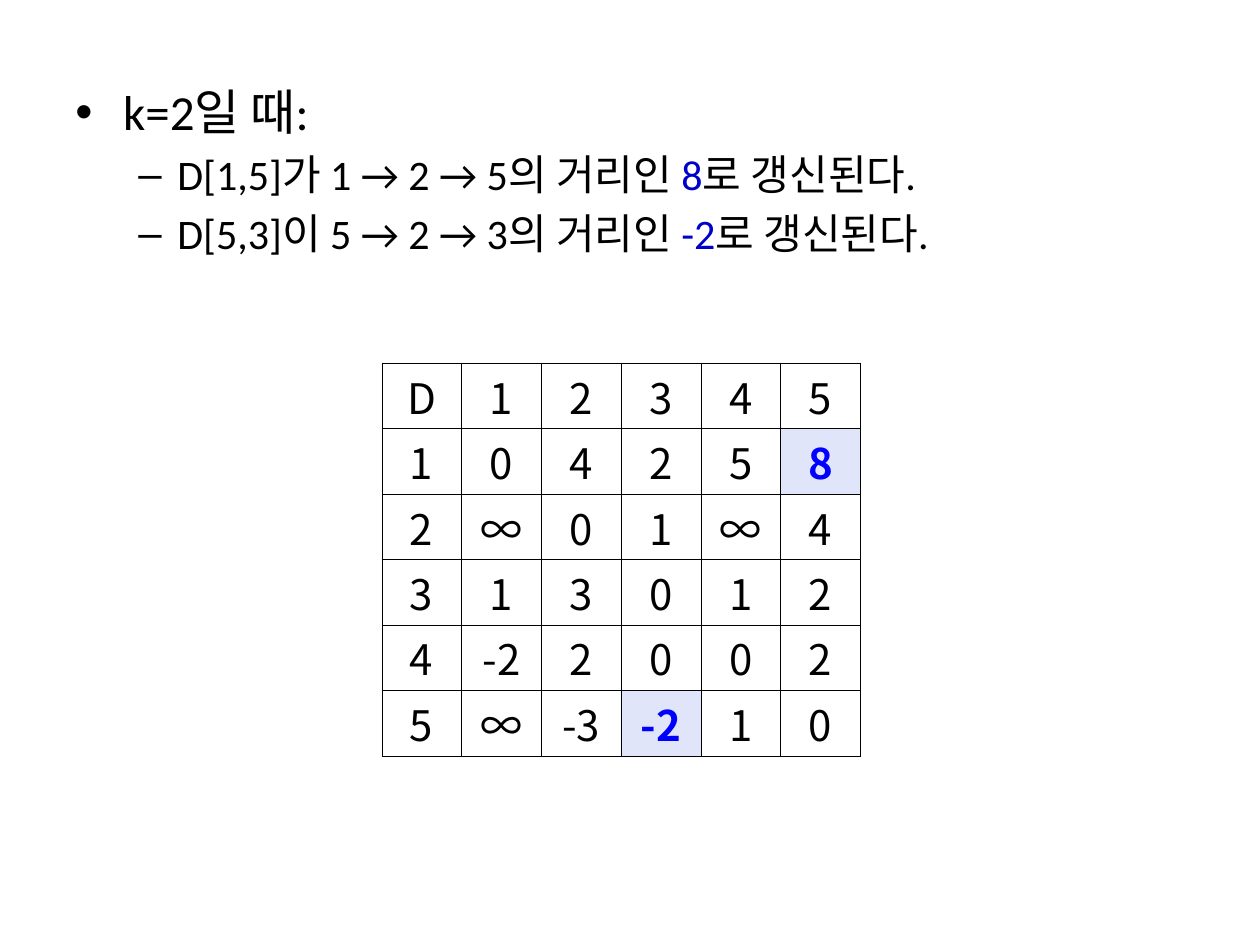
from pptx import Presentation
from pptx.dml.color import RGBColor
from pptx.enum.text import MSO_ANCHOR, PP_ALIGN
from pptx.oxml import parse_xml
from pptx.oxml.ns import nsdecls
from pptx.util import Inches, Pt

MIDDLE, CENTER = MSO_ANCHOR.MIDDLE, PP_ALIGN.CENTER
BLACK, BLUE, BRIGHT, PALE = "000000", "0000CC", "0000FF", "E0E5FA"

# Content: level, then runs of (text, colour)
NOTES = [
    (0, [("k=2일 때:", BLACK)]),
    (1, [("D[1,5]가 1 → 2 → 5의 거리인 ", BLACK), ("8", BLUE),
         ("로 갱신된다.", BLACK)]),
    (1, [("D[5,3]이 5 → 2 → 3의 거리인 ", BLACK), ("-2", BLUE),
         ("로 갱신된다.", BLACK)]),
]
# Bullet, size, left margin and hanging indent per level
LEVELS = [("•", 28, 0.38, 0.38), ("–", 24, 0.81, 0.31)]
COSTS = [
    ["D", "1", "2", "3", "4", "5"],
    ["1", "0", "4", "2", "5", "8"],
    ["2", "∞", "0", "1", "∞", "4"],
    ["3", "1", "3", "0", "1", "2"],
    ["4", "-2", "2", "0", "0", "2"],
    ["5", "∞", "-3", "-2", "1", "0"],
]
CHANGED = {(1, 5), (5, 3)}
CELL_W, CELL_H = 3.8 / 6, 0.52


def color(code):
    return RGBColor.from_string(code)


def bullet(para, mark, left, hang):
    props = para._p.get_or_add_pPr()
    props.set("marL", str(Inches(left)))
    props.set("indent", str(-Inches(hang)))
    props.append(parse_xml(f'<a:buFont {nsdecls("a")} typeface="Arial"/>'))
    props.append(parse_xml(f'<a:buChar {nsdecls("a")} char="{mark}"/>'))


def border(cell):
    props = cell._tc.get_or_add_tcPr()
    for side in "LRTB":
        props.append(parse_xml(
            f'<a:ln{side} {nsdecls("a")} w="{Pt(0.28)}"><a:solidFill>'
            f'<a:srgbClr val="{BLACK}"/></a:solidFill></a:ln{side}>'))


deck = Presentation()
deck.slide_width, deck.slide_height = Inches(10), Inches(7.5)
slide = deck.slides.add_slide(deck.slide_layouts[6])

# Notes
box = slide.shapes.add_textbox(Inches(0.5), Inches(0.6), Inches(9), Inches(6.1))
frame = box.text_frame
frame.word_wrap = True
for i, (level, runs) in enumerate(NOTES):
    para = frame.add_paragraph() if i else frame.paragraphs[0]
    mark, size, left, hang = LEVELS[level]
    para.level = level
    bullet(para, mark, left, hang)
    if i:
        para.space_before = Pt(size * 0.2)
    para.font.size, para.font.name = Pt(size), "Calibri"
    for text, code in runs:
        run = para.add_run()
        run.text = text
        run.font.color.rgb = color(code)

# Distance table
rows, cols = len(COSTS), len(COSTS[0])
table = slide.shapes.add_table(
    rows, cols, Inches(3.03), Inches(2.88),
    Inches(CELL_W * cols), Inches(CELL_H * rows)).table
table.first_row = table.horz_banding = False
for r, row in enumerate(COSTS):
    for c, text in enumerate(row):
        cell, new = table.cell(r, c), (r, c) in CHANGED
        cell.vertical_anchor = MIDDLE
        cell.margin_left = cell.margin_right = Inches(0.07)
        cell.margin_top = cell.margin_bottom = Inches(0.02)
        border(cell)
        if new:
            cell.fill.solid()
            cell.fill.fore_color.rgb = color(PALE)
        else:
            cell.fill.background()
        cell.text = text
        para = cell.text_frame.paragraphs[0]
        para.alignment = CENTER
        font = para.font
        font.name, font.size, font.bold = "Noto Sans CJK KR", Pt(24), new
        font.color.rgb = color(BRIGHT if new else BLACK)

deck.save("out.pptx")
